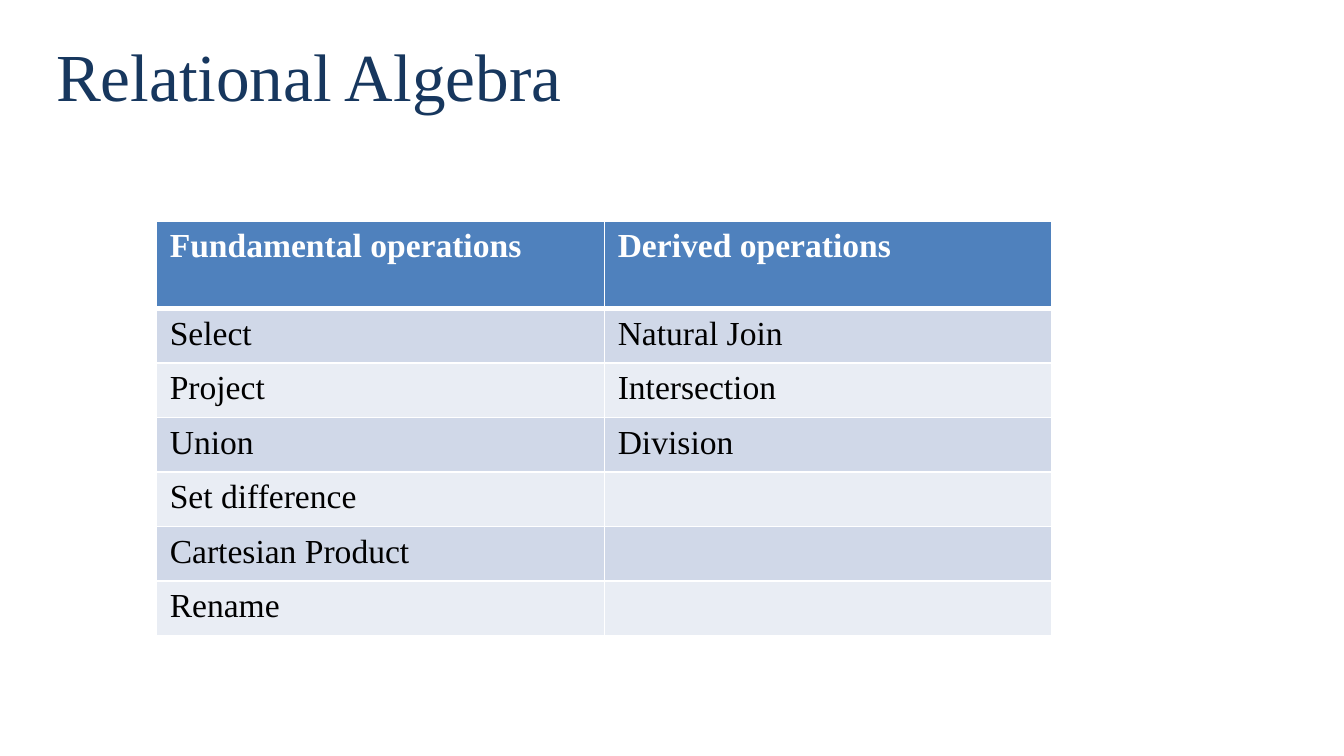
from itertools import zip_longest

from lxml import etree
from pptx import Presentation
from pptx.dml.color import RGBColor
from pptx.enum.text import MSO_ANCHOR
from pptx.oxml.ns import qn
from pptx.util import Pt

MIDDLE = MSO_ANCHOR.MIDDLE

TITLE = "Relational Algebra"
HEADINGS = ("Fundamental operations", "Derived operations")
FUNDAMENTAL = ("Select", "Project", "Union", "Set difference", "Cartesian Product", "Rename")
DERIVED = ("Natural Join", "Intersection", "Division")

THEME = {
    "font": "Times New Roman",
    "title_size": 36,
    "table_size": 18,
    "title": "17375E",
    "heading_text": "FFFFFF",
    "body_text": "000000",
    "heading_fill": "4F81BD",
    "bands": ("D0D8E8", "E9EDF4"),
    "border": "FFFFFF",
}

TITLE_BOX = (23, 10, 649, 60.5)
TABLE_LEFT, TABLE_TOP = 83.75, 118.25
COLUMN_WIDTH = 240
HEADING_HEIGHT, ROW_HEIGHT = 47, 29.2
THIN, THICK = 1, 3


def write(frame, text, size, color, bold=False):
    para = frame.paragraphs[0]
    para.font.size = Pt(size)
    if not text:
        return
    span = para.add_run()
    span.text = text
    span.font.name = THEME["font"]
    span.font.size = Pt(size)
    span.font.bold = bold
    span.font.color.rgb = RGBColor.from_string(color)


def draw_borders(cell, top, bottom):
    properties = cell._tc.get_or_add_tcPr()
    widths = {"a:lnL": THIN, "a:lnR": THIN, "a:lnT": top, "a:lnB": bottom}
    for position, (side, width) in enumerate(widths.items()):
        line = etree.Element(qn(side), w=str(Pt(width)))
        fill = etree.SubElement(line, qn("a:solidFill"))
        etree.SubElement(fill, qn("a:srgbClr"), val=THEME["border"])
        properties.insert(position, line)


def add_title(page):
    box = page.shapes.add_textbox(*map(Pt, TITLE_BOX))
    box.text_frame.word_wrap = True
    box.text_frame.vertical_anchor = MIDDLE
    write(box.text_frame, TITLE, THEME["title_size"], THEME["title"])


def add_operations(page):
    rows = [HEADINGS, *zip_longest(FUNDAMENTAL, DERIVED, fillvalue="")]
    heights = [HEADING_HEIGHT] + [ROW_HEIGHT] * (len(rows) - 1)
    table = page.shapes.add_table(
        len(rows), len(HEADINGS), Pt(TABLE_LEFT), Pt(TABLE_TOP),
        Pt(COLUMN_WIDTH * len(HEADINGS)), Pt(sum(heights)),
    ).table
    for column in table.columns:
        column.width = Pt(COLUMN_WIDTH)
    for index, (texts, height) in enumerate(zip(rows, heights)):
        heading = index == 0
        table.rows[index].height = Pt(height)
        fill = THEME["heading_fill"] if heading else THEME["bands"][(index - 1) % 2]
        color = THEME["heading_text"] if heading else THEME["body_text"]
        top = THICK if index == 1 else THIN
        bottom = THICK if heading else THIN
        for cell, text in zip(table.rows[index].cells, texts):
            cell.fill.solid()
            cell.fill.fore_color.rgb = RGBColor.from_string(fill)
            draw_borders(cell, top, bottom)
            write(cell.text_frame, text, THEME["table_size"], color, bold=heading)


def main():
    deck = Presentation()
    deck.slide_width, deck.slide_height = Pt(720), Pt(405)
    page = deck.slides.add_slide(deck.slide_layouts[6])
    add_title(page)
    add_operations(page)
    deck.save("out.pptx")


if __name__ == "__main__":
    main()
